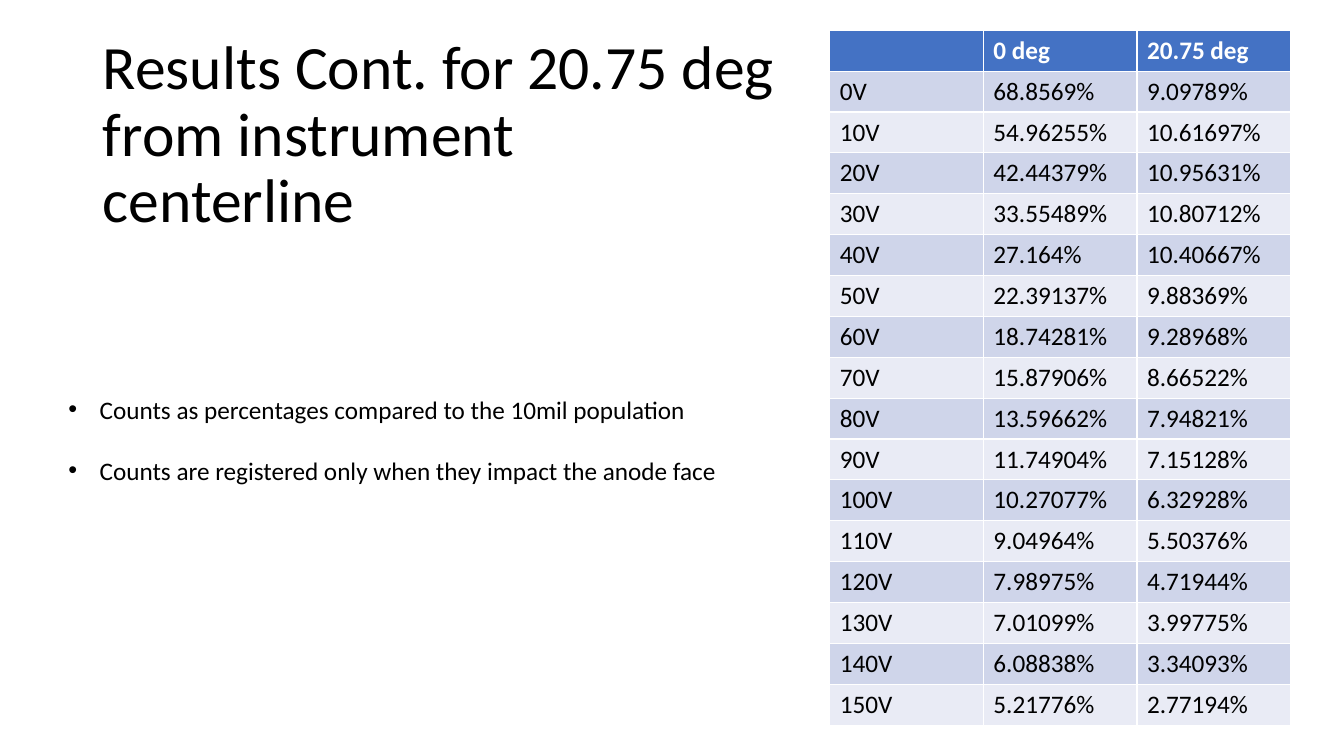
"""Build the results slide for 20.75 deg from the instrument centerline."""
from pptx import Presentation
from pptx.dml.color import RGBColor
from pptx.enum.text import MSO_ANCHOR, MSO_AUTO_SIZE, PP_ALIGN
from pptx.oxml.ns import qn
from pptx.util import Inches, Pt
from lxml.etree import SubElement

TITLE = "Results Cont. for 20.75 deg from instrument centerline"
NOTES = [
    "Counts as percentages compared to the 10mil population",
    "Counts are registered only when they impact the anode face",
]
HEADINGS = ("", "0 deg", "20.75 deg")
VOLT_STEP = 10
PERCENTAGES = [
    ("68.8569", "9.09789"),
    ("54.96255", "10.61697"),
    ("42.44379", "10.95631"),
    ("33.55489", "10.80712"),
    ("27.164", "10.40667"),
    ("22.39137", "9.88369"),
    ("18.74281", "9.28968"),
    ("15.87906", "8.66522"),
    ("13.59662", "7.94821"),
    ("11.74904", "7.15128"),
    ("10.27077", "6.32928"),
    ("9.04964", "5.50376"),
    ("7.98975", "4.71944"),
    ("7.01099", "3.99775"),
    ("6.08838", "3.34093"),
    ("5.21776", "2.77194"),
]

TITLE_BOX = (0.92, 0.4, 6.89, 1.9)
COUNTS_BOX = (8.23, 0.3, 4.57, 6.89)
NOTES_BOX = (0.58, 3.86, 6.89, 1.01)
NOTE_INDENT = 0.31
BLACK, WHITE, HEADER_BLUE = "000000", "FFFFFF", "4472C4"
BANDS = ("E9EBF5", "CFD5EA")

TITLE_FONT = {"name": "Calibri", "size": Pt(44), "bold": False}
BODY_FONT = {"name": "Calibri", "size": Pt(18), "bold": False}
HEADER_FONT = {**BODY_FONT, "bold": True}


def color(hex_value):
    return RGBColor.from_string(hex_value)


def box(lengths):
    return [Inches(length) for length in lengths]


def apply(target, formats):
    for attribute, value in formats.items():
        setattr(target, attribute, value)


def write(paragraph, words, font_formats, ink=BLACK):
    run = paragraph.add_run()
    run.text = words
    apply(run.font, font_formats)
    run.font.color.rgb = color(ink)


def add_title(slide):
    title = slide.shapes.title
    apply(title, dict(zip(("left", "top", "width", "height"), box(TITLE_BOX))))
    apply(title.text_frame, {
        "word_wrap": True,
        "auto_size": MSO_AUTO_SIZE.NONE,
        "vertical_anchor": MSO_ANCHOR.MIDDLE,
    })
    heading = title.text_frame.paragraphs[0]
    apply(heading, {"alignment": PP_ALIGN.LEFT, "line_spacing": 0.9})
    write(heading, TITLE, TITLE_FONT)


def add_counts(slide):
    rows = [HEADINGS] + [
        (f"{step * VOLT_STEP}V", *(f"{share}%" for share in shares))
        for step, shares in enumerate(PERCENTAGES)
    ]
    counts = slide.shapes.add_table(len(rows), len(HEADINGS), *box(COUNTS_BOX)).table
    for row_number, row in enumerate(rows):
        is_header = row_number == 0
        for column, words in enumerate(row):
            cell = counts.cell(row_number, column)
            cell.fill.solid()
            cell.fill.fore_color.rgb = color(HEADER_BLUE if is_header else BANDS[row_number % 2])
            write(cell.text_frame.paragraphs[0], words,
                  HEADER_FONT if is_header else BODY_FONT,
                  WHITE if is_header else BLACK)


def add_notes(slide):
    frame = slide.shapes.add_textbox(*box(NOTES_BOX)).text_frame
    apply(frame, {"word_wrap": True, "auto_size": MSO_AUTO_SIZE.SHAPE_TO_FIT_TEXT})
    for number, note in enumerate(NOTES):
        paragraph = frame.add_paragraph() if number else frame.paragraphs[0]
        paragraph.space_before = Pt(22 if number else 0)
        properties = paragraph._p.get_or_add_pPr()
        properties.set("marL", str(Inches(NOTE_INDENT)))
        properties.set("indent", str(-Inches(NOTE_INDENT)))
        SubElement(properties, qn("a:buFont"), typeface="Arial")
        SubElement(properties, qn("a:buChar"), char="•")
        write(paragraph, note, BODY_FONT)


def main():
    deck = Presentation()
    apply(deck, {"slide_width": Inches(13.33), "slide_height": Inches(7.5)})
    slide = deck.slides.add_slide(deck.slide_layouts[5])
    add_title(slide)
    add_counts(slide)
    add_notes(slide)
    deck.save("out.pptx")


if __name__ == "__main__":
    main()
